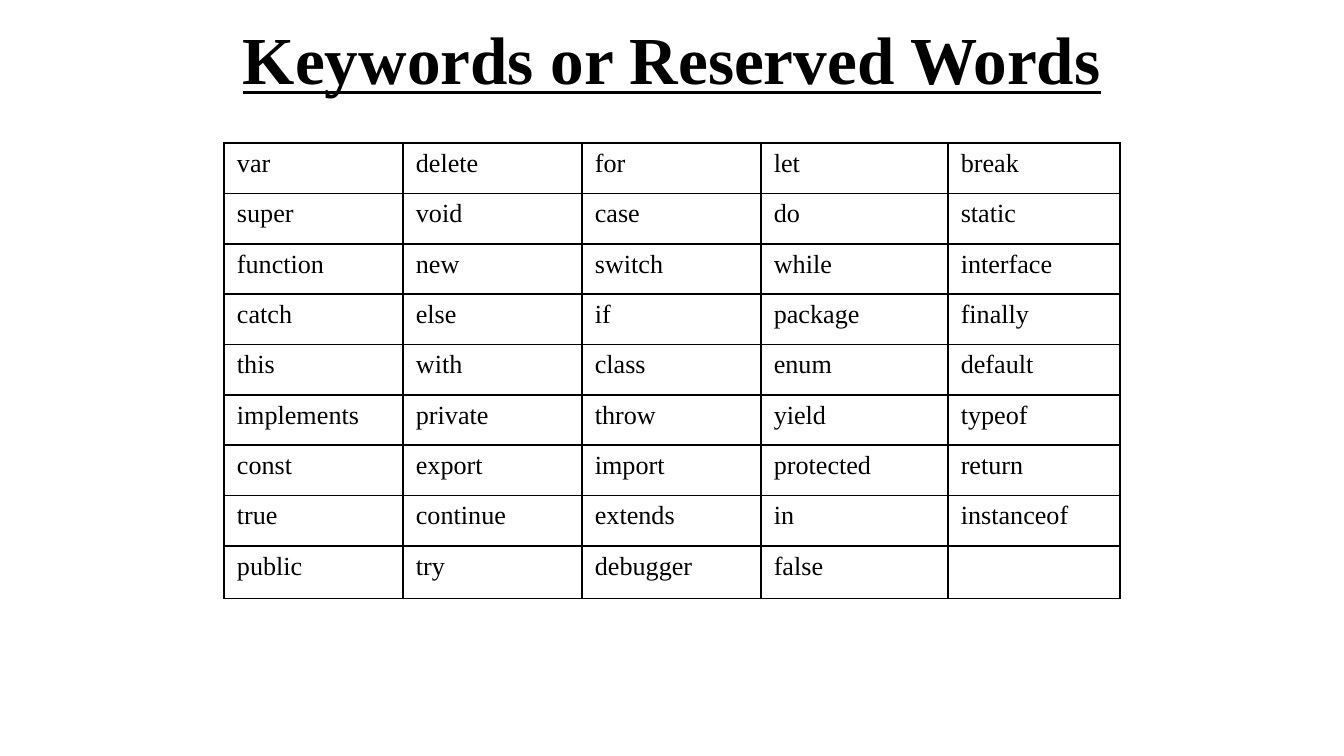
from lxml.etree import SubElement
from pptx import Presentation
from pptx.dml.color import RGBColor
from pptx.enum.text import MSO_ANCHOR, PP_ALIGN
from pptx.oxml.ns import qn
from pptx.util import Pt

TITLE = "Keywords or Reserved Words"
KEYWORDS = [
    ("var", "delete", "for", "let", "break"),
    ("super", "void", "case", "do", "static"),
    ("function", "new", "switch", "while", "interface"),
    ("catch", "else", "if", "package", "finally"),
    ("this", "with", "class", "enum", "default"),
    ("implements", "private", "throw", "yield", "typeof"),
    ("const", "export", "import", "protected", "return"),
    ("true", "continue", "extends", "in", "instanceof"),
    ("public", "try", "debugger", "false", ""),
]

BLACK = RGBColor(0, 0, 0)
FONT = "Times New Roman"
TITLE_FORMAT = {"name": FONT, "size": Pt(36), "bold": True, "underline": True}
CELL_FORMAT = {"name": FONT, "size": Pt(14)}

EMU_PER_PX = 914400 / 134.4
PAGE_SIZE = (1344, 756)
TITLE_BOX = (67, -5, 1210, 126)
TABLE_LEFT, TABLE_TOP = 224, 143
COLUMN_WIDTHS = (179, 179, 179, 187, 172)
ROW_HEIGHT = 50.4
CELL_MARGINS = {"margin_left": 13, "margin_right": 13, "margin_top": 6, "margin_bottom": 6}


def px(length):
    return round(length * EMU_PER_PX)


def write(paragraph, text, text_format):
    span = paragraph.add_run()
    span.text = text
    span.font.color.rgb = BLACK
    for name, value in text_format.items():
        setattr(span.font, name, value)


def add_borders(cell):
    """Put a thin line on all four sides; call before the cell gets its fill."""
    properties = cell._tc.get_or_add_tcPr()
    for side in ("a:lnL", "a:lnR", "a:lnT", "a:lnB"):
        line = SubElement(properties, qn(side), w=str(Pt(1)))
        fill = SubElement(line, qn("a:solidFill"))
        SubElement(fill, qn("a:srgbClr"), val=str(BLACK))


def add_title(page):
    box = page.shapes.add_textbox(*map(px, TITLE_BOX))
    frame = box.text_frame
    frame.word_wrap = True
    frame.vertical_anchor = MSO_ANCHOR.MIDDLE
    paragraph = frame.paragraphs[0]
    paragraph.alignment = PP_ALIGN.CENTER
    write(paragraph, TITLE, TITLE_FORMAT)


def add_keyword_table(page):
    size = (sum(COLUMN_WIDTHS), ROW_HEIGHT * len(KEYWORDS))
    table = page.shapes.add_table(
        len(KEYWORDS), len(COLUMN_WIDTHS), *map(px, (TABLE_LEFT, TABLE_TOP, *size))
    ).table
    table.first_row = table.horz_banding = False
    for column, width in zip(table.columns, COLUMN_WIDTHS):
        column.width = px(width)
    for row, words in zip(table.rows, KEYWORDS):
        row.height = px(ROW_HEIGHT)
        for cell, word in zip(row.cells, words):
            for name, value in CELL_MARGINS.items():
                setattr(cell, name, px(value))
            add_borders(cell)
            cell.fill.background()
            if word:
                write(cell.text_frame.paragraphs[0], word, CELL_FORMAT)


def main():
    deck = Presentation()
    deck.slide_width, deck.slide_height = map(px, PAGE_SIZE)
    page = deck.slides.add_slide(deck.slide_layouts[6])
    add_title(page)
    add_keyword_table(page)
    deck.save("out.pptx")


if __name__ == "__main__":
    main()
